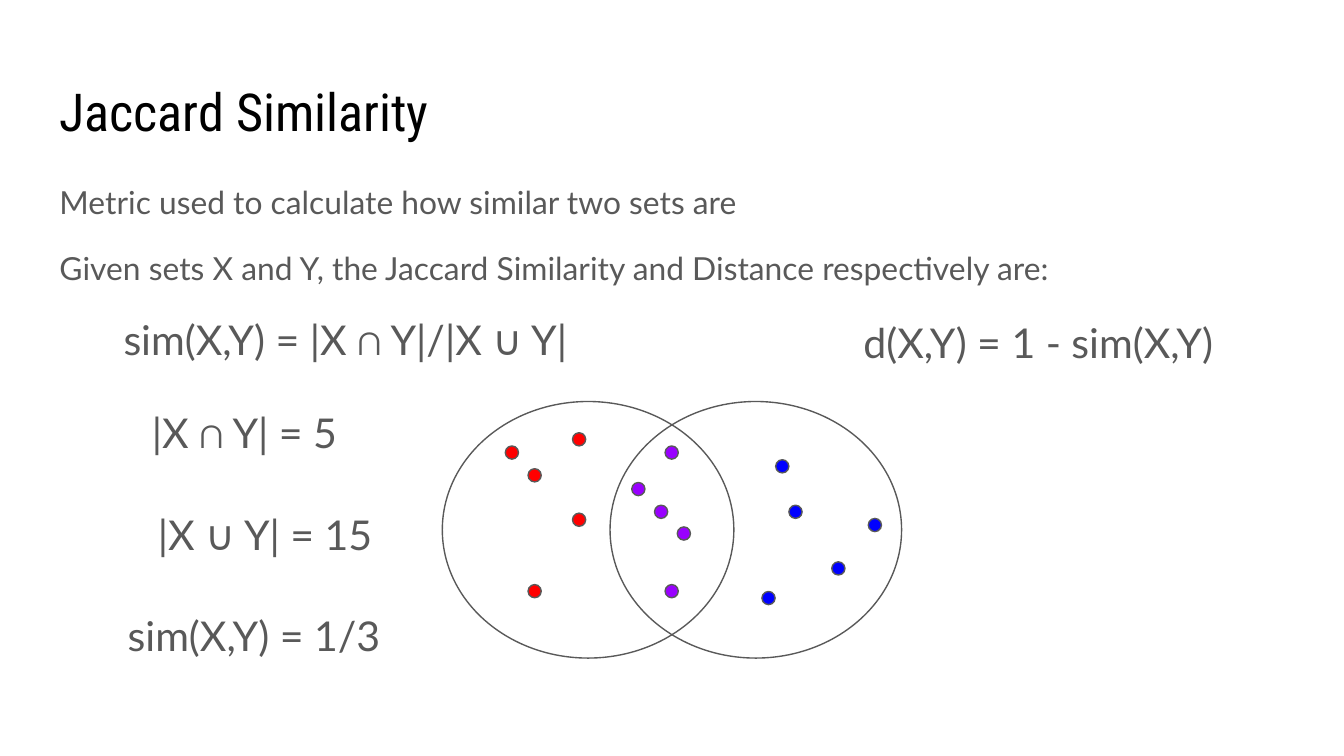
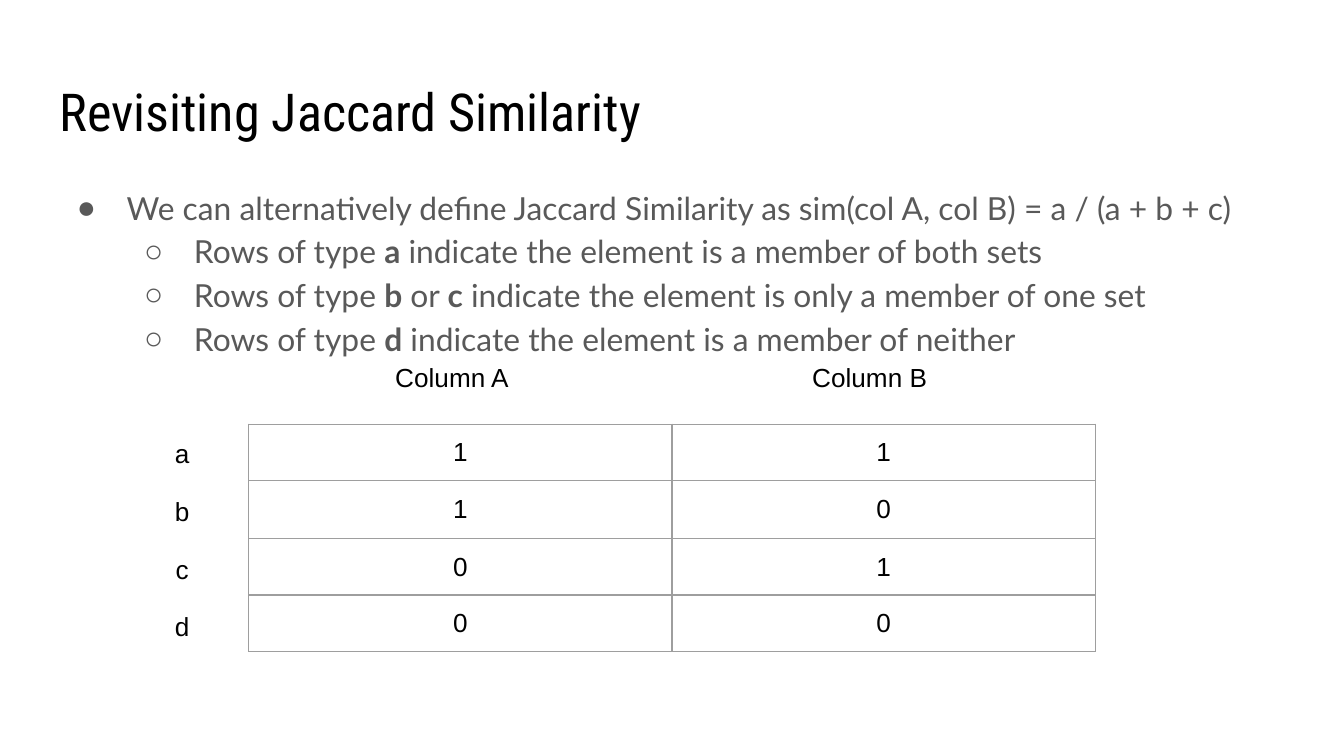
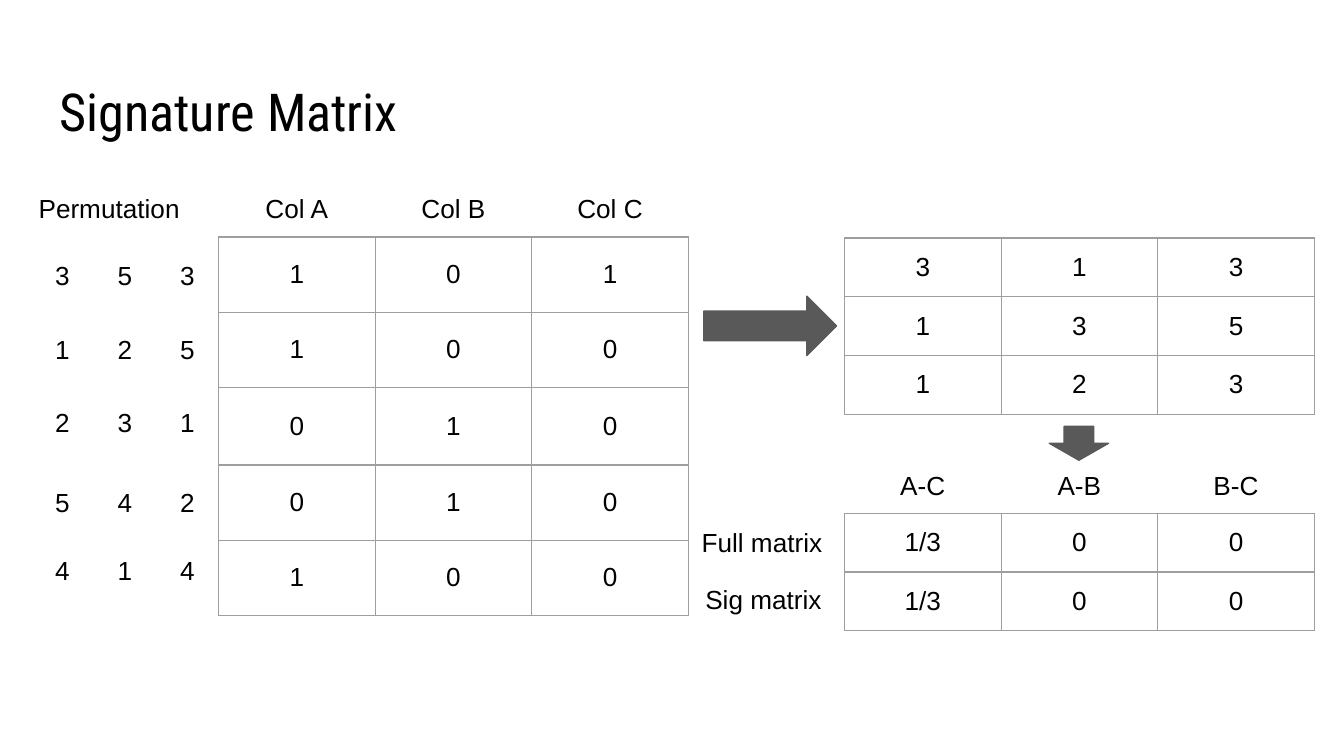
from lxml import etree
from pptx import Presentation
from pptx.dml.color import RGBColor
from pptx.enum import shapes as kinds, text as txt
from pptx.oxml import ns
from pptx.util import Cm, Pt

COLORS = {"ink": "000000", "grey": "595959", "grid": "9E9E9E",
          "red": "FF0000", "purple": "9900FF", "blue": "0000FF"}
TITLE_FONT, BODY_FONT, LABEL_FONT = "Roboto Condensed", "Lato", "Arial"
TITLE_BOX = (0.87, 1.24, 23.67, 2.34)
BODY_BOX = (0.87, 3.2, 23.67, 9.5)
INSET = Pt(7.2)
LABEL_H = 1.12
TABLE_FRAME = 8.33
LEFT, CENTER = txt.PP_ALIGN.LEFT, txt.PP_ALIGN.CENTER
TOP, MIDDLE = txt.MSO_ANCHOR.TOP, txt.MSO_ANCHOR.MIDDLE

# Jaccard Similarity: (text, size, left margin)
INTRO = [
    ("Metric used to calculate how similar two sets are", 17, 0),
    ("Given sets X and Y, the Jaccard Similarity and Distance respectively are:", 17, 0),
    ("sim(X,Y) = |X ∩ Y|/|X ∪ Y|", 22, 1.21),
]
DISTANCE = "d(X,Y) = 1 - sim(X,Y)"
RESULTS = [(1.57, "|X ∩ Y| = 5"), (1.96, "|X ∪ Y| = 15"), (1.75, "sim(X,Y) = 1/3")]
SET_LEFTS = (8.36, 11.53)
MEMBERS = {
    "red": [(9.55, 8.43), (9.98, 8.86), (10.82, 8.18), (10.82, 9.7), (9.98, 11.05)],
    "purple": [(12.57, 8.43), (11.94, 9.12), (12.37, 9.55), (12.8, 9.96), (12.57, 11.05)],
    "blue": [(14.4, 11.18), (14.91, 9.55), (15.72, 10.62), (14.66, 8.69), (16.41, 9.8)],
}

# Revisiting Jaccard Similarity: (level, text), with bold parts between asterisks
DEFINITION = [
    (0, "We can alternatively define Jaccard Similarity as sim(col A, col B) = a / (a + b + c)"),
    (1, "Rows of type *a* indicate the element is a member of both sets"),
    (1, "Rows of type *b* or *c* indicate the element is only a member of one set"),
    (1, "Rows of type *d* indicate the element is a member of neither"),
]
ROW_TYPES = {"a": "11", "b": "10", "c": "01", "d": "00"}

# Signature Matrix
PERMUTATIONS = [(4.5, "353"), (5.89, "125"), (7.28, "231"), (8.79, "542"), (10.07, "414")]
SETS = ["Col A", "Col B", "Col C"]
MATRIX = ["101", "100", "010", "010", "100"]
SIGNATURES = ["313", "135", "123"]
PAIRS = ["A-C", "A-B", "B-C"]
SIMILARITIES = [["1/3", "0", "0"], ["1/3", "0", "0"]]
MATRIX_NAMES = [(13.01, "Full matrix"), (13.08, "Sig matrix")]


def rgb(name):
    return RGBColor.from_string(COLORS[name])


def cm(*lengths):
    return [Cm(length) for length in lengths]


def style(paragraph, size, font, color, align=LEFT):
    paragraph.alignment = align
    paragraph.font.size, paragraph.font.name = Pt(size), font
    paragraph.font.color.rgb = rgb(color)


def set_frame(frame, anchor=TOP):
    frame.word_wrap = True
    frame.auto_size = txt.MSO_AUTO_SIZE.NONE
    frame.vertical_anchor = anchor
    frame.margin_left = frame.margin_right = INSET
    frame.margin_top = frame.margin_bottom = INSET


def place(placeholder, box):
    placeholder.left, placeholder.top, placeholder.width, placeholder.height = cm(*box)
    set_frame(placeholder.text_frame)


def add_slide(prs, layout, title):
    slide = prs.slides.add_slide(prs.slide_layouts.get_by_name(layout))
    place(slide.shapes.title, TITLE_BOX)
    slide.shapes.title.text_frame.text = title
    style(slide.shapes.title.text_frame.paragraphs[0], 28, TITLE_FONT, "ink")
    return slide


def child(parent, tag, **attributes):
    return etree.SubElement(parent, ns.qn(tag), attributes)


def body_paragraphs(slide, count):
    body = slide.placeholders[1]
    place(body, BODY_BOX)
    frame = body.text_frame
    return [frame.paragraphs[0]] + [frame.add_paragraph() for _ in range(count - 1)]


def set_bullet(paragraph, bullet=None, margin=0, indent=0):
    props = paragraph._p.get_or_add_pPr()
    props.set("marL", str(Cm(margin)))
    props.set("indent", str(Cm(indent)))
    if bullet:
        color = child(props, "a:buClr")
        child(color, "a:srgbClr", val=COLORS["grey"])
        child(props, "a:buChar", char=bullet)
    else:
        child(props, "a:buNone")


def add_label(slide, text, left, top, width, height=LABEL_H, align=CENTER,
              anchor=TOP, size=14, font=LABEL_FONT, color="ink"):
    frame = slide.shapes.add_textbox(*cm(left, top, width, height)).text_frame
    set_frame(frame, anchor)
    frame.text = text
    style(frame.paragraphs[0], size, font, color, align)


def add_formula(slide, text, left, top, width, align=CENTER):
    add_label(slide, text, left, top, width, 1.45, align,
              size=22, font=BODY_FONT, color="grey")


def add_outlined(shapes, kind, box, fill=None):
    shape = shapes.add_shape(kind, *cm(*box))
    shape.shadow.inherit = False
    shape.line.color.rgb, shape.line.width = rgb("grey"), Pt(0.75)
    if fill:
        shape.fill.solid()
        shape.fill.fore_color.rgb = rgb(fill)
    else:
        shape.fill.background()
    return shape


def add_grid(slide, values, left, top, col_width, heights):
    frame = slide.shapes.add_table(len(values), len(values[0]), *cm(
        left, top, TABLE_FRAME, TABLE_FRAME))
    table = frame.table
    table.first_row = table.horz_banding = False
    for column in table.columns:
        column.width = Cm(col_width)
    for row, height, row_values in zip(table.rows, heights, values):
        row.height = Cm(height)
        for cell, value in zip(row.cells, row_values):
            cell.text = value
            style(cell.text_frame.paragraphs[0], 14, LABEL_FONT, "ink", CENTER)
            cell.vertical_anchor = MIDDLE
            cell.margin_left = cell.margin_right = INSET
            cell.margin_top = cell.margin_bottom = INSET
            for side in "LRTB":
                border = child(cell._tc.get_or_add_tcPr(), f"a:ln{side}", w=str(Pt(0.75)))
                child(child(border, "a:solidFill"), "a:srgbClr", val=COLORS["grid"])
            cell.fill.background()
    frame.width = frame.height = Cm(TABLE_FRAME)


def build_similarity(prs):
    slide = add_slide(prs, "Title and Content", "Jaccard Similarity")
    paragraphs = body_paragraphs(slide, len(INTRO))
    for i, (paragraph, (line, size, margin)) in enumerate(zip(paragraphs, INTRO)):
        paragraph.add_run().text = line
        set_bullet(paragraph, margin=margin)
        paragraph.line_spacing = 1.0
        paragraph.space_before = Pt(15 if i else 0)
        style(paragraph, size, BODY_FONT, "grey")
    add_formula(slide, DISTANCE, 16.07, 5.74, 8.2, LEFT)

    venn = slide.shapes.add_group_shape()
    for left in SET_LEFTS:
        add_outlined(venn.shapes, kinds.MSO_SHAPE.OVAL, (left, 7.59, 5.51, 4.85))
    for color, spots in MEMBERS.items():
        for left, top in spots:
            add_outlined(slide.shapes, kinds.MSO_SHAPE.FLOWCHART_CONNECTOR,
                         (left, top, 0.25, 0.25), color)
    for i, (left, result) in enumerate(RESULTS):
        add_formula(slide, result, left, 7.45 + 1.92 * i, 6.1)


def build_row_types(prs):
    slide = add_slide(prs, "Title and Content", "Revisiting Jaccard Similarity")
    for paragraph, (level, line) in zip(body_paragraphs(slide, len(DEFINITION)), DEFINITION):
        for i, part in enumerate(line.split("*")):
            run = paragraph.add_run()
            run.text = part
            if i % 2:
                run.font.bold = True
        paragraph.level = level
        set_bullet(paragraph, "●○"[level], 1.27 * (level + 1), -0.94)
        paragraph.line_spacing = 1.15
        paragraph.space_before = Pt(0)
        style(paragraph, 17, BODY_FONT, "grey")

    top = 8.02
    add_grid(slide, list(ROW_TYPES.values()), 4.7, top, 8.0, [1.06, 1.1, 1.06, 1.06])
    for i, name in enumerate(["Column A", "Column B"]):
        add_label(slide, name, 7.22 + 7.88 * i, 6.58, 2.79, align=LEFT)
    for i, row_type in enumerate(ROW_TYPES):
        add_label(slide, row_type, 2.81, top + 1.09 * i, 1.27)


def build_signatures(prs):
    slide = add_slide(prs, "Title Only", "Signature Matrix")
    col_width, row_height = 2.96, 1.11
    matrix_left, signature_left, result_top = 4.13, 15.96, 9.7

    add_grid(slide, MATRIX, matrix_left, 4.48, col_width, [1.42, 1.42, 1.47, 1.42, 1.42])
    add_label(slide, "Permutation", 0, 3.38, matrix_left)
    for names, left, top in ((SETS, matrix_left, 3.38), (PAIRS, signature_left, 8.61)):
        for i, name in enumerate(names):
            add_label(slide, name, left + col_width * i, top, col_width)
    for top, order in PERMUTATIONS:
        for i, position in enumerate(order):
            add_label(slide, position, 0.59 + 1.18 * i, top, 1.18, 1.4, anchor=MIDDLE)

    for i, signature in enumerate(SIGNATURES):
        add_grid(slide, [signature], signature_left, 4.5 + row_height * i,
                 col_width, [row_height])
    add_grid(slide, SIMILARITIES, signature_left, result_top, col_width, [row_height] * 2)
    for i, (left, name) in enumerate(MATRIX_NAMES):
        add_label(slide, name, left, result_top + 1.07 * i, col_width, align=LEFT)

    arrow = kinds.MSO_SHAPE.RIGHT_ARROW
    add_outlined(slide.shapes, arrow, (13.3, 5.6, 2.51, 1.12), "grey")
    add_outlined(slide.shapes, arrow, (20.07, 7.82, 0.64, 1.12), "grey").rotation = 90


def main():
    prs = Presentation()
    prs.slide_width, prs.slide_height = cm(25.4, 14.29)
    build_similarity(prs)
    build_row_types(prs)
    build_signatures(prs)
    prs.save("out.pptx")


if __name__ == "__main__":
    main()
